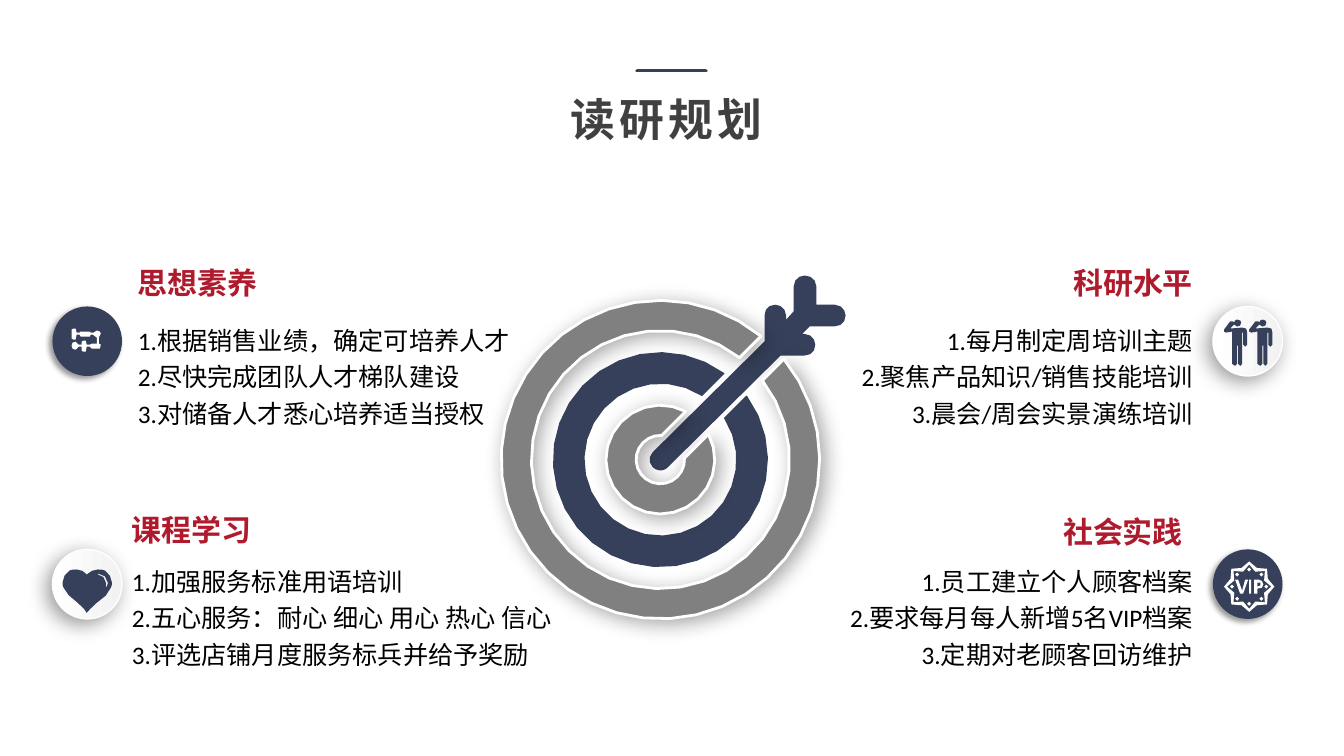
import math

import pptx
import pptx.dml.color
import pptx.enum.shapes
import pptx.enum.text
import pptx.oxml
import pptx.util
from pptx.oxml.ns import nsdecls
from pptx.util import Inches

RGBColor = pptx.dml.color.RGBColor
NAVY = RGBColor(0x36, 0x40, 0x5A)
RED = RGBColor(0xAF, 0x1A, 0x2D)
GRAY = RGBColor(0x80, 0x80, 0x80)
DARK = RGBColor(0x40, 0x40, 0x40)
PALE = RGBColor(0xF2, 0xF2, 0xF2)
BLACK = RGBColor(0, 0, 0)
WHITE = RGBColor(0xFF, 0xFF, 0xFF)
LEFT = pptx.enum.text.PP_ALIGN.LEFT
RIGHT = pptx.enum.text.PP_ALIGN.RIGHT

# Shadows: opacity %, blur pt, distance pt, direction in degrees
PALE_SHADOW = (40, 15, 5, 135)
NAVY_SHADOW = (40, 4, 3, 135)
RING_SHADOW = (34, 15, 4, 45)

ARROW = """M 7.98 2.74 C 8.04 2.74 8.09 2.78 8.09 2.84 L 8.09 3.03 L 8.28 3.03
C 8.34 3.03 8.38 3.08 8.38 3.13 C 8.38 3.19 8.34 3.23 8.28 3.23 L 8.03 3.23 L 7.94 3.32
L 7.98 3.32 C 8.04 3.32 8.08 3.37 8.08 3.42 C 8.08 3.48 8.04 3.52 7.98 3.52 L 7.74 3.52
L 6.62 4.63 C 6.6 4.65 6.58 4.66 6.55 4.66 C 6.53 4.66 6.5 4.65 6.48 4.63
C 6.44 4.59 6.44 4.53 6.48 4.49 L 7.59 3.39 L 7.59 3.13 C 7.59 3.07 7.63 3.03 7.69 3.03
C 7.74 3.03 7.79 3.07 7.79 3.13 L 7.79 3.19 L 7.88 3.09 L 7.88 2.84
C 7.88 2.78 7.93 2.74 7.98 2.74"""
PERSON = """M 12.49 3.2 L 12.5 3.18 L 12.52 3.17 L 12.55 3.18 L 12.56 3.2 L 12.55 3.23 L 12.52 3.24
L 12.49 3.22 L 12.45 3.26 L 12.57 3.25 L 12.61 3.26 L 12.62 3.3 L 12.62 3.42 L 12.6 3.44
L 12.58 3.42 L 12.58 3.3 L 12.57 3.3 L 12.57 3.61 L 12.55 3.63 L 12.53 3.61 L 12.53 3.43
L 12.52 3.43 L 12.52 3.61 L 12.5 3.63 L 12.47 3.61 L 12.47 3.29 L 12.41 3.3 L 12.39 3.29
L 12.39 3.27 L 12.45 3.19 L 12.48 3.19"""
NETWORK = """M .98 3.41 L .98 3.35 L 1 3.31 L .99 3.29 L .96 3.28 L .93 3.3 L .9 3.3 L .89 3.29
L .8 3.29 L .79 3.3 L .76 3.3 L .75 3.26 L .73 3.26 L .71 3.27 L .71 3.36 L .73 3.37 L .75 3.37
L .76 3.32 L .79 3.32 L .8 3.34 L .89 3.34 L .9 3.32 L .92 3.32 L .96 3.35 L .96 3.41 L .91 3.41
L .89 3.42 L .86 3.42 L .85 3.38 L .83 3.38 L .81 3.39 L .81 3.42 L .78 3.42 L .75 3.39
L .72 3.4 L .71 3.43 L .72 3.46 L .75 3.47 L .78 3.44 L .81 3.44 L .81 3.48 L .83 3.49 L .85 3.49
L .86 3.44 L .89 3.44 L .91 3.46 L .99 3.46 L 1 3.42"""
HEART = """M 1.04 5.66 C 1.02 5.65 .99 5.65 .97 5.65 C .93 5.65 .89 5.67 .86 5.7
C .84 5.67 .8 5.65 .76 5.65 C .73 5.65 .71 5.65 .69 5.66 C .65 5.69 .62 5.73 .62 5.78
C .62 5.8 .62 5.81 .63 5.83 C .64 5.88 .71 5.93 .77 5.98 C .82 6.01 .86 6.08 .86 6.08
C .86 6.08 .91 6.02 .96 5.98 C 1.02 5.93 1.09 5.89 1.1 5.83 C 1.11 5.81 1.11 5.8 1.11 5.78
C 1.11 5.73 1.08 5.69 1.04 5.66 M 1.06 5.82 L 1.05 5.82 L 1.05 5.78
C 1.05 5.74 1.01 5.7 .97 5.7 L .97 5.69 C 1.02 5.69 1.07 5.73 1.07 5.78"""
VIP = """M 12.25 5.75 L 12.28 5.75 L 12.32 5.86 L 12.35 5.75 L 12.38 5.75 L 12.33 5.89 L 12.3 5.89
M 12.39 5.75 L 12.41 5.75 L 12.41 5.89 L 12.39 5.89
M 12.44 5.75 L 12.48 5.75 C 12.51 5.75 12.53 5.77 12.53 5.8 C 12.53 5.83 12.51 5.84 12.47 5.84
L 12.47 5.89 L 12.44 5.89
M 12.47 5.78 L 12.47 5.82 L 12.5 5.81 L 12.5 5.78"""


def trace(outline, shift=0, steps=2):
    """Turn M, L and C commands into contours, with curves as short lines."""
    contours = []
    for command in outline.replace("M", "|M").replace("L", "|L").replace("C", "|C").split("|")[1:]:
        letter, *numbers = command.split()
        values = [float(number) for number in numbers]
        points = [(x + shift, y) for x, y in zip(values[::2], values[1::2])]
        if letter == "M":
            contours.append(points)
        elif letter == "L":
            contours[-1] += points
        else:
            curve = [contours[-1][-1]] + points
            for step in range(1, steps + 1):
                t = step / steps
                weights = ((1 - t) ** 3, 3 * t * (1 - t) ** 2, 3 * t * t * (1 - t), t ** 3)
                contours[-1].append(tuple(sum(w * p[axis] for w, p in zip(weights, curve))
                                          for axis in (0, 1)))
    return contours


def polar(center, radius, angle):
    return center[0] + radius * math.cos(angle), center[1] + radius * math.sin(angle)


def star(center, tip, notch):
    return [polar(center, notch if i % 2 else tip, i * math.pi / 8) for i in range(16)]


def diamond(center, radius):
    return [polar(center, radius, i * math.pi / 2) for i in range(4)]


def notched_ring(center, outer, inner, half_gap=0.16):
    """Ring with a parallel-sided gap towards the upper right."""
    def arc(radius):
        count = 14 + round(14 * radius)
        start = -math.pi / 4 + math.asin(half_gap / radius)
        sweep = math.tau - 2 * math.asin(half_gap / radius)
        return [polar(center, radius, start + sweep * i / count) for i in range(count + 1)]
    return arc(outer) + arc(inner)[::-1]


class PlanSlide:
    def __init__(self, presentation):
        self.font = "Calibri"
        self.slide = presentation.slides.add_slide(presentation.slide_layouts[6])
        self.shapes = self.slide.shapes

    def start_group(self):
        self.shapes = self.slide.shapes.add_group_shape().shapes

    def end_group(self):
        self.shapes = self.slide.shapes

    def text(self, text, box, size=18, color=BLACK, bold=False, align=LEFT,
             line_spacing=None, letter_spacing=None, wrap=False):
        frame = self.shapes.add_textbox(*map(Inches, box)).text_frame
        frame.word_wrap = wrap
        frame.auto_size = pptx.enum.text.MSO_AUTO_SIZE.SHAPE_TO_FIT_TEXT
        frame.text = text
        for paragraph in frame.paragraphs:
            paragraph.alignment = align
            if line_spacing:
                paragraph.line_spacing = line_spacing
            run = paragraph.runs[0]
            run.font.name = self.font
            run.font.size = pptx.util.Pt(size)
            run.font.bold = bold
            run.font.color.rgb = color
            if letter_spacing:
                run.font._element.set("spc", str(letter_spacing * 100))
        return frame

    def finish(self, shape, fill, line=None, width=1, shadow=None):
        if fill == PALE:
            shape.fill.gradient()
            shape.fill.gradient_angle = 0
            for stop, color in zip(shape.fill.gradient_stops, (WHITE, PALE)):
                stop.color.rgb = color
        else:
            shape.fill.solid()
            shape.fill.fore_color.rgb = fill
        if line is None:
            shape.line.fill.background()
        else:
            shape.line.color.rgb = line
            shape.line.width = pptx.util.Pt(width)
        shape.shadow.inherit = False
        if shadow:
            opacity, blur, distance, direction = shadow
            shape._element.spPr.find(pptx.oxml.ns.qn("a:effectLst")).append(pptx.oxml.parse_xml(
                f'<a:outerShdw {nsdecls("a")} blurRad="{blur * 12700}" dist="{distance * 12700}" '
                f'dir="{direction * 60000}" algn="ctr" rotWithShape="0"><a:srgbClr val="000000">'
                f'<a:alpha val="{opacity * 1000}"/></a:srgbClr></a:outerShdw>'))

    def outline(self, contours, fill, **style):
        first, *others = [[(Inches(x), Inches(y)) for x, y in contour] for contour in contours]
        builder = self.shapes.build_freeform(*first[0])
        builder.add_line_segments(first[1:])
        for contour in others:
            builder.move_to(*contour[0])
            builder.add_line_segments(contour[1:])
        self.finish(builder.convert_to_shape(), fill, **style)

    def badge(self, left, top, pale, icon):
        self.start_group()
        disc = self.shapes.add_shape(pptx.enum.shapes.MSO_SHAPE.OVAL, Inches(left), Inches(top),
                                     Inches(0.69), Inches(0.69))
        if pale:
            self.finish(disc, PALE, line=WHITE, shadow=PALE_SHADOW)
        else:
            self.finish(disc, NAVY, shadow=NAVY_SHADOW)
        self.outline(icon, NAVY if pale else WHITE)
        self.end_group()

    def rule(self, left, right, y):
        line = self.shapes.add_connector(pptx.enum.shapes.MSO_CONNECTOR.STRAIGHT,
                                         Inches(left), Inches(y), Inches(right), Inches(y))
        line.line.color.rgb = NAVY
        line.line.width = pptx.util.Pt(2.75)
        line.line._get_or_add_ln().set("cap", "rnd")
        line._element.spPr.append(pptx.oxml.parse_xml(f'<a:effectLst {nsdecls("a")}/>'))


def main():
    presentation = pptx.Presentation()
    presentation.slide_width, presentation.slide_height = Inches(13.33), Inches(7.5)
    plan = PlanSlide(presentation)

    sections = [
        ("思想素养", (1.27, 2.58), (1.27, 3.12, 3.92, 1.19), LEFT,
         "1.根据销售业绩，确定可培养人才\n2.尽快完成团队人才梯队建设\n3.对储备人才悉心培养适当授权"),
        ("科研水平", (10.53, 2.58), (8.41, 3.12, 3.52, 1.19), RIGHT,
         "1.每月制定周培训主题\n2.聚焦产品知识/销售技能培训\n3.晨会/周会实景演练培训"),
        ("课程学习", (1.21, 5.03), (1.21, 5.51, 4.5, 1.16), LEFT,
         "1.加强服务标准用语培训\n2.五心服务：耐心 细心 用心 热心 信心\n3.评选店铺月度服务标兵并给予奖励"),
        ("社会实践", (10.43, 5.05), (8.2, 5.51, 3.73, 1.16), RIGHT,
         "1.员工建立个人顾客档案\n2.要求每月每人新增5名VIP档案\n3.定期对老顾客回访维护"),
    ]
    for heading, corner, body_box, align, body in sections:
        plan.text(heading, (*corner, 1.4, 0.46), size=21.4, color=RED, bold=True, align=align)
        plan.text(body, body_box, align=align, line_spacing=1.2, wrap=True)

    seal = (12.39, 5.82)
    dots = [diamond(polar(seal, 0.17, i * math.pi / 4), 0.02) for i in range(8)]
    vip_seal = [star(seal, 0.25, 0.2), star(seal, 0.22, 0.16), *dots, *trace(VIP)]
    plan.badge(12.03, 3.04, True, trace(PERSON) + trace(PERSON, shift=-0.25))
    plan.badge(0.52, 3.04, False, trace(NETWORK))
    plan.badge(12.03, 5.45, False, vip_seal)
    plan.badge(0.52, 5.45, True, trace(HEART))

    title = plan.text("读研规划", (5.56, 0.86, 2.17, 0.64), size=32, color=DARK, bold=True,
                      letter_spacing=3)
    title.vertical_anchor = pptx.enum.text.MSO_ANCHOR.MIDDLE
    plan.rule(6.32, 7, 0.7)

    bullseye = (6.55, 4.56)
    plan.start_group()
    plan.outline(trace(ARROW, steps=3), NAVY, line=NAVY)
    gray_style = {"line": WHITE, "width": 2, "shadow": RING_SHADOW}
    for outer, inner, color, style in [(1.58, 1.28, GRAY, gray_style),
                                       (1.06, 0.76, NAVY, {"line": NAVY}),
                                       (0.54, 0.24, GRAY, gray_style)]:
        plan.outline([notched_ring(bullseye, outer, inner)], color, **style)
    plan.end_group()

    presentation.save("out.pptx")


if __name__ == "__main__":
    main()
